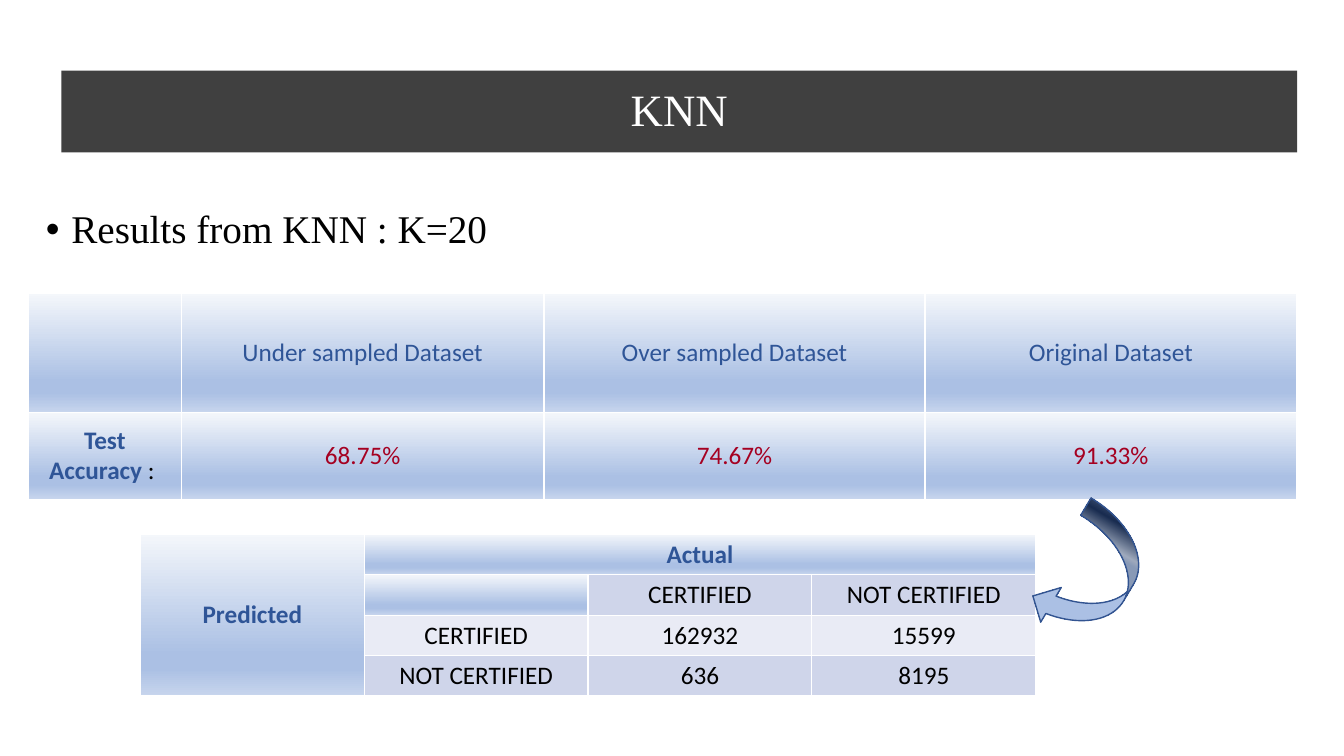
"""Build the KNN results slide with an accuracy table and a confusion matrix."""
import pptx
import pptx.dml.color
import pptx.enum.shapes
import pptx.enum.text
import pptx.oxml
import pptx.oxml.ns
import pptx.util
from lxml import etree

Cm, Pt = pptx.util.Cm, pptx.util.Pt
Rgb = pptx.dml.color.RGBColor.from_string
Align = pptx.enum.text.PP_ALIGN
Mid = pptx.enum.text.MSO_ANCHOR.MIDDLE
Shape = pptx.enum.shapes.MSO_SHAPE
qn = pptx.oxml.ns.qn


class Theme:
    serif, sans = "Times New Roman", "Calibri"
    title, body, cell = 32, 28, 18
    white, black, dark = "FFFFFF", "000000", "404040"
    blue, red, edge = "2F5597", "A50021", "325491"
    bands = ["CFD5EA", "E9EBF5"]
    shade = [(0, "F4F7FB"), (74, "ABC0E4"), (83, "ABC0E4"), (100, "C7D5ED")]
    curve = [(4, "ABC0E4"), (21, "203864"), (33, "C7D5ED"), (36, "ABC0E4")]


def blend(fill, node, stops):
    """Fill from top to bottom through the given stops."""
    fill.gradient()
    fill.gradient_angle = 270
    group = node.find(".//" + qn("a:gsLst"))
    for old in list(group):
        group.remove(old)
    for pos, color in stops:
        stop = etree.SubElement(group, qn("a:gs"), pos=str(pos * 1000))
        etree.SubElement(stop, qn("a:srgbClr"), val=color)


def style(cell, text, color, bold=False, band=None):
    """Write one table cell with its fill and white borders."""
    cell.vertical_anchor = Mid
    para = cell.text_frame.paragraphs[0]
    para.text = text
    para.alignment = Align.CENTER
    font = para.font
    font.name, font.size, font.bold = Theme.sans, Pt(Theme.cell), bold
    font.color.rgb = Rgb(color)
    if band:
        cell.fill.solid()
        cell.fill.fore_color.rgb = Rgb(band)
    else:
        blend(cell.fill, cell._tc, Theme.shade)
    props = cell._tc.get_or_add_tcPr()
    for spot, side in enumerate(["lnL", "lnR", "lnT", "lnB"]):
        line = etree.Element(qn("a:" + side), w=str(Pt(1)))
        solid = etree.SubElement(line, qn("a:solidFill"))
        etree.SubElement(solid, qn("a:srgbClr"), val=Theme.white)
        props.insert(spot, line)


deck = pptx.Presentation()
deck.slide_width, deck.slide_height = Cm(33.87), Cm(19.05)
slide = deck.slides.add_slide(deck.slide_layouts[6])
shapes = slide.shapes

title = shapes.add_shape(Shape.RECTANGLE, Cm(1.55), Cm(1.78), Cm(31.14), Cm(2.06))
title.shadow.inherit = False
title.fill.solid()
title.fill.fore_color.rgb = Rgb(Theme.dark)
title.line.fill.background()
title.text_frame.vertical_anchor = Mid
head = title.text_frame.paragraphs[0]
head.text = "KNN"
head.alignment = Align.CENTER

body = shapes.add_textbox(Cm(0.91), Cm(5.16), Cm(29.21), Cm(12.09))
body.text_frame.word_wrap = True
point = body.text_frame.paragraphs[0]
point.text = "Results from KNN : K=20"
point.space_before = Pt(10)
props = point._p.get_or_add_pPr()
props.set("marL", str(Cm(0.64)))
props.set("indent", str(-Cm(0.64)))

for para, size, color in [(head, Theme.title, Theme.white), (point, Theme.body, Theme.black)]:
    para.line_spacing = 0.9
    para.font.name, para.font.size = Theme.serif, Pt(size)
    para.font.color.rgb = Rgb(color)
etree.SubElement(props, qn("a:buFont"), typeface="Arial")
etree.SubElement(props, qn("a:buChar"), char="•")
props.append(props.find(qn("a:defRPr")))

scores = [
    ["", "Under sampled Dataset", "Over sampled Dataset", "Original Dataset"],
    ["Test Accuracy", "68.75%", "74.67%", "91.33%"],
]
grid = shapes.add_table(2, 4, Cm(0.71), Cm(7.4), Cm(31.97), Cm(5.18)).table
for col, width in zip(grid.columns, [3.86, 9.14, 9.6, 9.37]):
    col.width = Cm(width)
for row, high in zip(grid.rows, [3, 2.18]):
    row.height = Cm(high)
for r, line in enumerate(scores):
    for c, text in enumerate(line):
        color = Theme.red if r and c else Theme.blue
        style(grid.cell(r, c), text, color, bold=c == 0)
colon = grid.cell(1, 0).text_frame.paragraphs[0].add_run()
colon.text = " : "
colon.font.bold = False
colon.font.color.rgb = Rgb(Theme.black)

counts = [
    ["Predicted", "Actual", "", ""],
    ["", "", "CERTIFIED", "NOT CERTIFIED"],
    ["", "CERTIFIED", "162932", "15599"],
    ["", "NOT CERTIFIED", "636", "8195"],
]
matrix = shapes.add_table(4, 4, Cm(3.54), Cm(13.46), Cm(22.56), Cm(4.08)).table
for r, line in enumerate(counts):
    for c, text in enumerate(line):
        if r == 0 or c == 0 or (r, c) == (1, 1):
            style(matrix.cell(r, c), text, Theme.blue, bold=True)
        else:
            style(matrix.cell(r, c), text, Theme.black, band=Theme.bands[(r - 1) % 2])
matrix.cell(0, 0).merge(matrix.cell(3, 0))
matrix.cell(0, 1).merge(matrix.cell(0, 3))

arrow = shapes.add_shape(Shape.CURVED_LEFT_ARROW, Cm(26.49), Cm(12.83), Cm(2.03), Cm(3.38))
arrow.shadow.inherit = False
arrow.rotation = 30.7
blend(arrow.fill, arrow._element.spPr, Theme.curve)
arrow.line.color.rgb = Rgb(Theme.edge)
arrow.line.width = Pt(1)

deck.save("out.pptx")
